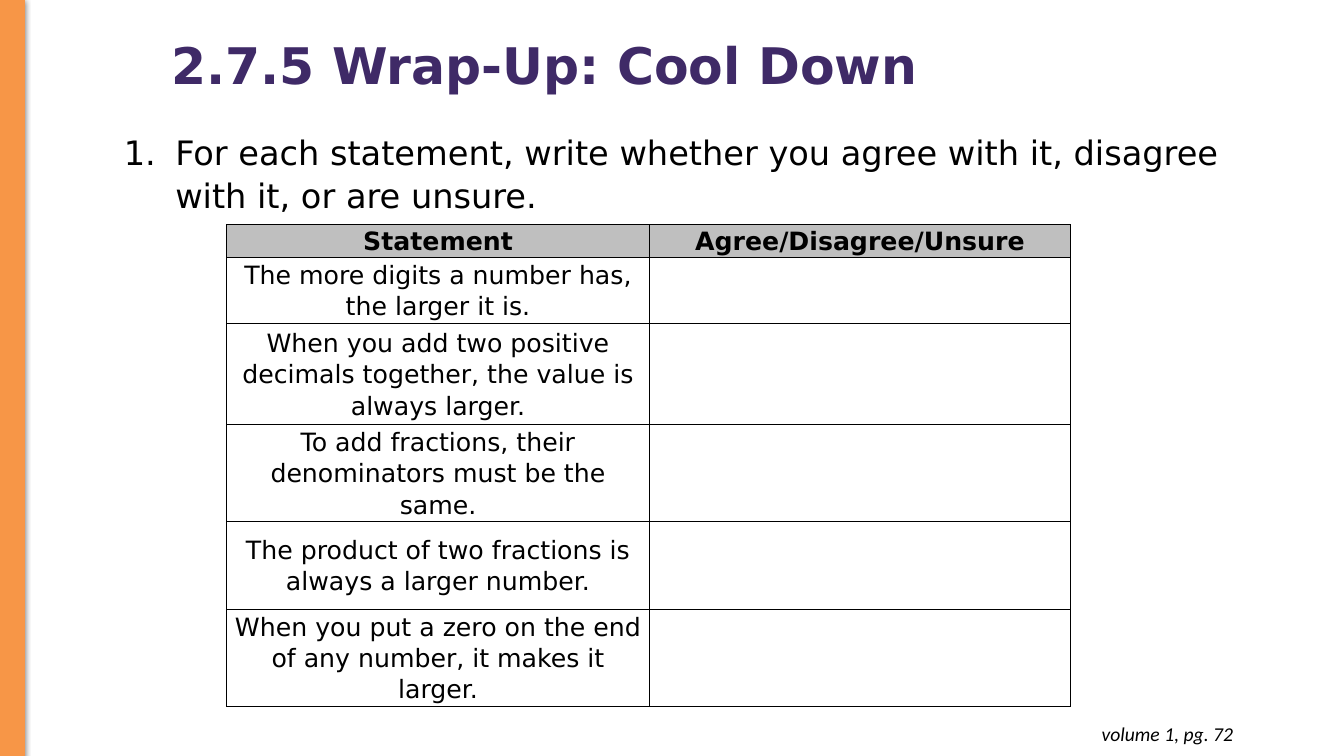
from lxml.etree import SubElement as Sub
from pptx import Presentation
from pptx.dml.color import RGBColor
from pptx.enum.shapes import MSO_SHAPE as Shape
from pptx.enum.text import MSO_ANCHOR as Anchor, MSO_AUTO_SIZE as Fit, PP_ALIGN as Align
from pptx.oxml.ns import qn
from pptx.util import Inches, Pt

PURPLE = RGBColor(0x3F, 0x2A, 0x67)
ORANGE = RGBColor(0xF7, 0x96, 0x47)
GRAY = RGBColor(0xBF, 0xBF, 0xBF)
BLACK = RGBColor(0, 0, 0)

HEADS = ["Statement", "Agree/Disagree/Unsure"]
CLAIMS = [
    "The more digits a number has, the larger it is.",
    "When you add two positive decimals together, the value is always larger.",
    "To add fractions, their denominators must be the same.",
    "The product of two fractions is always a larger number.",
    "When you put a zero on the end of any number, it makes it larger.",
]
WIDTHS = [4.19, 4.18]
HEIGHTS = [0.32, 0.66, 1, 0.87, 0.87, 0.87]
SIDES = ["lnL", "lnR", "lnT", "lnB"]


def node(parent, tag, **attrs):
    return Sub(parent, qn(f"a:{tag}"), attrs)


def color(parent, rgb):
    return node(node(parent, "solidFill"), "srgbClr", val=str(rgb))


class Deck:
    """Hold the text style and the current slide, and draw each kind of element."""

    base = {"name": "DejaVu Sans", "size": Pt(18), "bold": False, "italic": False}

    def __init__(self):
        self.show = Presentation()
        self.show.slide_width, self.show.slide_height = Inches(13.33), Inches(7.5)
        self.slide = self.show.slides.add_slide(self.show.slide_layouts[5])

    def place(self, item, box):
        for key, value in zip(["left", "top", "width", "height"], box):
            setattr(item, key, Inches(value))

    def words(self, para, text, tint=BLACK, **style):
        run = para.add_run()
        run.text = text
        for key, value in {**self.base, **style}.items():
            setattr(run.font, key, value)
        run.font.color.rgb = tint

    def title(self, text, box):
        item = self.slide.shapes.title
        self.place(item, box)
        frame = item.text_frame
        frame.auto_size, frame.word_wrap = Fit.NONE, True
        frame.vertical_anchor = Anchor.MIDDLE
        para = frame.paragraphs[0]
        para.alignment, para.line_spacing = Align.LEFT, 0.9
        self.words(para, text, PURPLE, size=Pt(36), bold=True)

    def text(self, box, pad=0.05):
        frame = self.slide.shapes.add_textbox(*map(Inches, box)).text_frame
        frame.word_wrap = True
        frame.margin_top = frame.margin_bottom = Inches(pad)
        return frame.paragraphs[0]

    def task(self, text, box):
        para = self.text(box)
        para.line_spacing = 1.07
        props = para._p.get_or_add_pPr()
        props.set("marL", str(Inches(0.51)))
        props.set("indent", str(Inches(-0.51)))
        node(node(props, "buClr"), "srgbClr", val=str(BLACK))
        node(props, "buFont", typeface=self.base["name"])
        node(props, "buAutoNum", type="arabicPeriod")
        self.words(para, text, size=Pt(24))

    def note(self, text, box):
        para = self.text(box, 0.1)
        para.alignment = Align.RIGHT
        self.words(para, text, name="Calibri", size=Pt(14), italic=True)

    def bar(self, box):
        bar = self.slide.shapes.add_shape(Shape.RECTANGLE, *map(Inches, box))
        bar.shadow.inherit = False
        bar.fill.solid()
        bar.fill.fore_color.rgb = bar.line.color.rgb = ORANGE
        bar.line.width = Pt(0.75)
        glow = node(bar._element.spPr.find(qn("a:effectLst")), "outerShdw",
                    blurRad=str(Pt(4.5)), dist=str(Pt(1.5)), dir="5400000", rotWithShape="0")
        node(node(glow, "srgbClr", val=str(BLACK)), "alpha", val="50000")

    def cell(self, cell, text, head):
        props = cell._tc.get_or_add_tcPr()
        for side in SIDES:
            color(node(props, side, w=str(Pt(1))), BLACK)
        if head:
            cell.fill.solid()
            cell.fill.fore_color.rgb = GRAY
        else:
            cell.fill.background()
        if not text:
            return
        cell.vertical_anchor = Anchor.MIDDLE
        cell.margin_left = cell.margin_right = Inches(0.04)
        cell.margin_top = cell.margin_bottom = 0
        para = cell.text_frame.paragraphs[0]
        para.alignment, para.line_spacing = Align.CENTER, 1.07
        self.words(para, text, bold=head)

    def table(self, rows, box):
        grid = self.slide.shapes.add_table(len(rows), len(WIDTHS), *map(Inches, box)).table
        grid.first_row = grid.horz_banding = False
        for col, width in zip(grid.columns, WIDTHS):
            col.width = Inches(width)
        for r, (row, height) in enumerate(zip(rows, HEIGHTS)):
            grid.rows[r].height = Inches(height)
            for c, text in enumerate(row):
                self.cell(grid.cell(r, c), text, r == 0)


def main():
    deck = Deck()
    deck.title("2.7.5 Wrap-Up: Cool Down", (1.6, -0.05, 8.77, 1.45))
    deck.task("For each statement, write whether you agree with it, disagree with it, "
              "or are unsure.", (1.13, 1.23, 11.35, 0.97))
    deck.bar((0, -0.01, 0.24, 7.51))
    deck.table([HEADS] + [[claim, ""] for claim in CLAIMS], (2.25, 2.23, 8.37, 4.75))
    deck.note("volume 1, pg. 72", (9.45, 7.06, 2.88, 0.44))
    deck.show.save("out.pptx")


if __name__ == "__main__":
    main()
